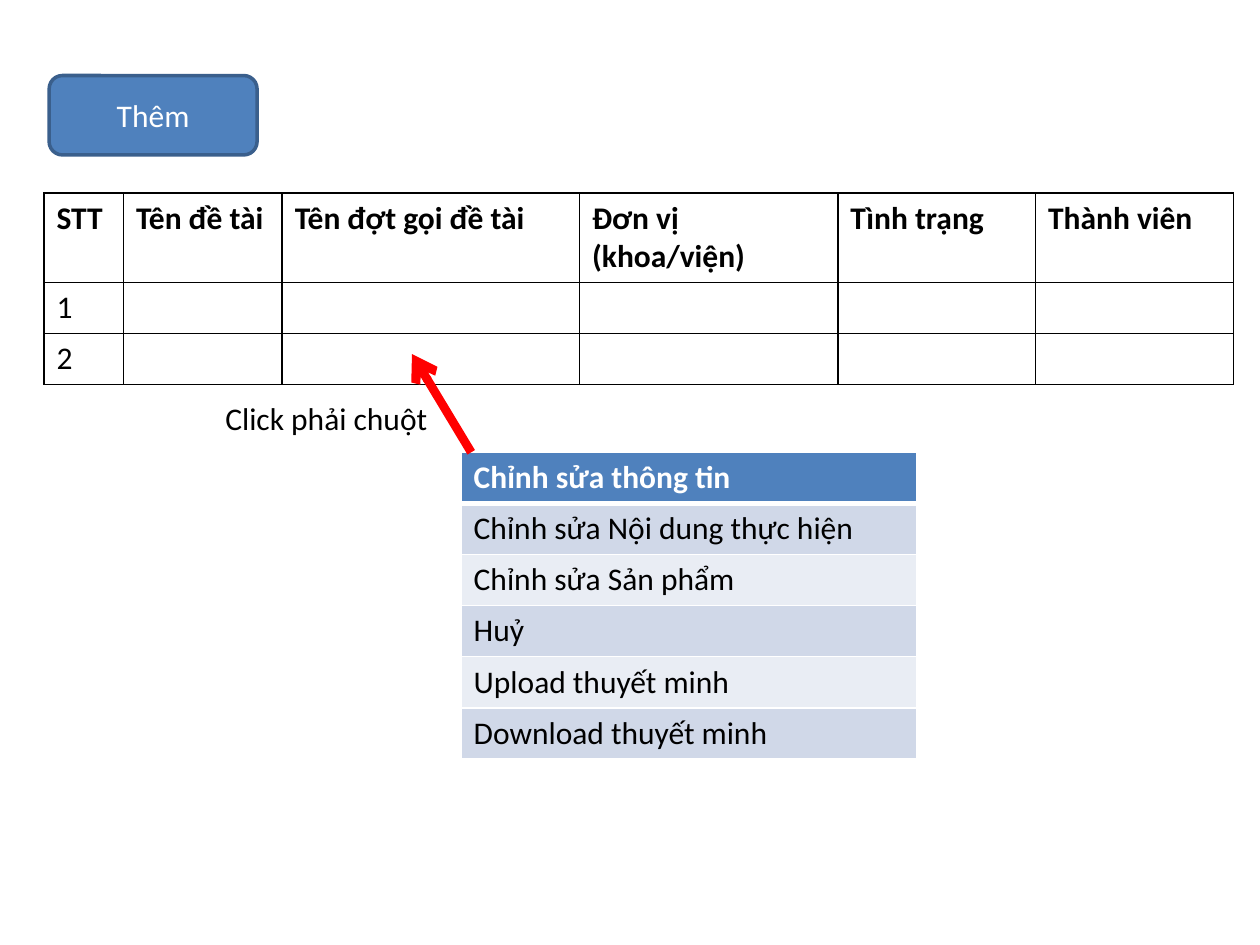
from pptx import Presentation
from pptx.dml.color import RGBColor
from pptx.enum.shapes import MSO_CONNECTOR, MSO_SHAPE
from pptx.enum.text import MSO_ANCHOR, MSO_AUTO_SIZE, PP_ALIGN
from pptx.oxml.ns import qn
from pptx.util import Inches, Pt
from lxml import etree

FONT = "Calibri"
BLACK = RGBColor(0x00, 0x00, 0x00)
WHITE = RGBColor(0xFF, 0xFF, 0xFF)
RED = RGBColor(0xFF, 0x00, 0x00)
BLUE = RGBColor(0x4F, 0x81, 0xBD)
DARK_BLUE = RGBColor(0x3A, 0x5F, 0x8C)
BAND_DARK = RGBColor(0xD0, 0xD8, 0xE8)
BAND_LIGHT = RGBColor(0xE9, 0xED, 0xF4)

ROW_HEIGHT = 0.405
TOPIC_COLUMNS = [0.63, 1.26, 2.36, 2.05, 1.57, 1.57]
TOPIC_ROWS = [
    ["STT", "Tên đề tài", "Tên đợt gọi đề tài", "Đơn vị (khoa/viện)",
     "Tình trạng", "Thành viên"],
    ["1"] + [""] * 5,
    ["2"] + [""] * 5,
]
MENU_ITEMS = [
    "Chỉnh sửa thông tin",
    "Chỉnh sửa Nội dung thực hiện",
    "Chỉnh sửa Sản phẩm",
    "Huỷ",
    "Upload thuyết minh",
    "Download thuyết minh",
]


def write_text(frame, text, color=BLACK, bold=False, align=PP_ALIGN.LEFT):
    """Write one styled paragraph into a text frame."""
    paragraph = frame.paragraphs[0]
    paragraph.alignment = align
    paragraph.font.size = Pt(18)
    if text:
        run = paragraph.add_run()
        run.text = text
        run.font.name = FONT
        run.font.size = Pt(18)
        run.font.bold = bold
        run.font.color.rgb = color


def set_borders(cell, color, widths):
    """Draw the four cell borders; widths maps L, R, T and B to points."""
    properties = cell._tc.get_or_add_tcPr()
    for side in "LRTB":
        line = etree.SubElement(properties, qn(f"a:ln{side}"), w=str(Pt(widths[side])))
        fill = etree.SubElement(line, qn("a:solidFill"))
        etree.SubElement(fill, qn("a:srgbClr"), val=str(color))


def add_grid(slide, left, top, columns, heights, rows, border,
             header_color=BLACK, fills=None, header_rule=1):
    """Add a table with a bold header, ruled cells and optional row fills."""
    frame = slide.shapes.add_table(
        len(rows), len(columns), Inches(left), Inches(top),
        Inches(sum(columns)), Inches(sum(heights)))
    table = frame.table
    for column, width in zip(table.columns, columns):
        column.width = Inches(width)
    for i, (row, height) in enumerate(zip(rows, heights)):
        table.rows[i].height = Inches(height)
        widths = {"L": 1, "R": 1, "T": header_rule if i == 1 else 1,
                  "B": header_rule if i == 0 else 1}
        for j, text in enumerate(row):
            cell = table.cell(i, j)
            write_text(cell.text_frame, text,
                       header_color if i == 0 else BLACK, bold=i == 0)
            set_borders(cell, border, widths)
            if fills:
                cell.fill.solid()
                cell.fill.fore_color.rgb = fills[i]
            else:
                cell.fill.background()


def add_button(slide, left, top, width, height, text):
    """Add a rounded button with a centred label."""
    button = slide.shapes.add_shape(
        MSO_SHAPE.ROUNDED_RECTANGLE, Inches(left), Inches(top),
        Inches(width), Inches(height))
    button.shadow.inherit = False
    button.fill.solid()
    button.fill.fore_color.rgb = BLUE
    button.line.color.rgb = DARK_BLUE
    button.line.width = Pt(2)
    button.text_frame.vertical_anchor = MSO_ANCHOR.MIDDLE
    write_text(button.text_frame, text, WHITE, align=PP_ALIGN.CENTER)


def add_arrow(slide, start, end):
    """Add a thick red arrow pointing at end."""
    arrow = slide.shapes.add_connector(
        MSO_CONNECTOR.STRAIGHT, *(Inches(v) for v in start + end))
    arrow.line.color.rgb = RED
    arrow.line.width = Pt(5)
    etree.SubElement(arrow.line._get_or_add_ln(), qn("a:tailEnd"), type="arrow")
    etree.SubElement(arrow._element.spPr, qn("a:effectLst"))


def add_label(slide, left, top, width, height, text):
    """Add a plain text label."""
    label = slide.shapes.add_textbox(
        Inches(left), Inches(top), Inches(width), Inches(height))
    label.text_frame.word_wrap = True
    label.text_frame.auto_size = MSO_AUTO_SIZE.SHAPE_TO_FIT_TEXT
    write_text(label.text_frame, text)


def main():
    """Build the topic list with its context menu."""
    presentation = Presentation()
    presentation.slide_width = Inches(10)
    presentation.slide_height = Inches(7.5)
    slide = presentation.slides.add_slide(presentation.slide_layouts[6])

    add_grid(slide, 0.35, 1.53, TOPIC_COLUMNS, [0.7, ROW_HEIGHT, ROW_HEIGHT],
             TOPIC_ROWS, BLACK)
    add_button(slide, 0.39, 0.6, 1.65, 0.63, "Thêm")
    bands = [BAND_LIGHT if i % 2 else BAND_DARK for i in range(len(MENU_ITEMS) - 1)]
    add_grid(slide, 3.66, 3.59, [3.62], [ROW_HEIGHT] * len(MENU_ITEMS),
             [[item] for item in MENU_ITEMS], WHITE, WHITE, [BLUE] + bands,
             header_rule=3)
    add_arrow(slide, (3.74, 3.59), (3.27, 2.81))
    add_label(slide, 1.69, 3.12, 1.97, 0.4, "Click phải chuột")

    presentation.save("out.pptx")


main()
